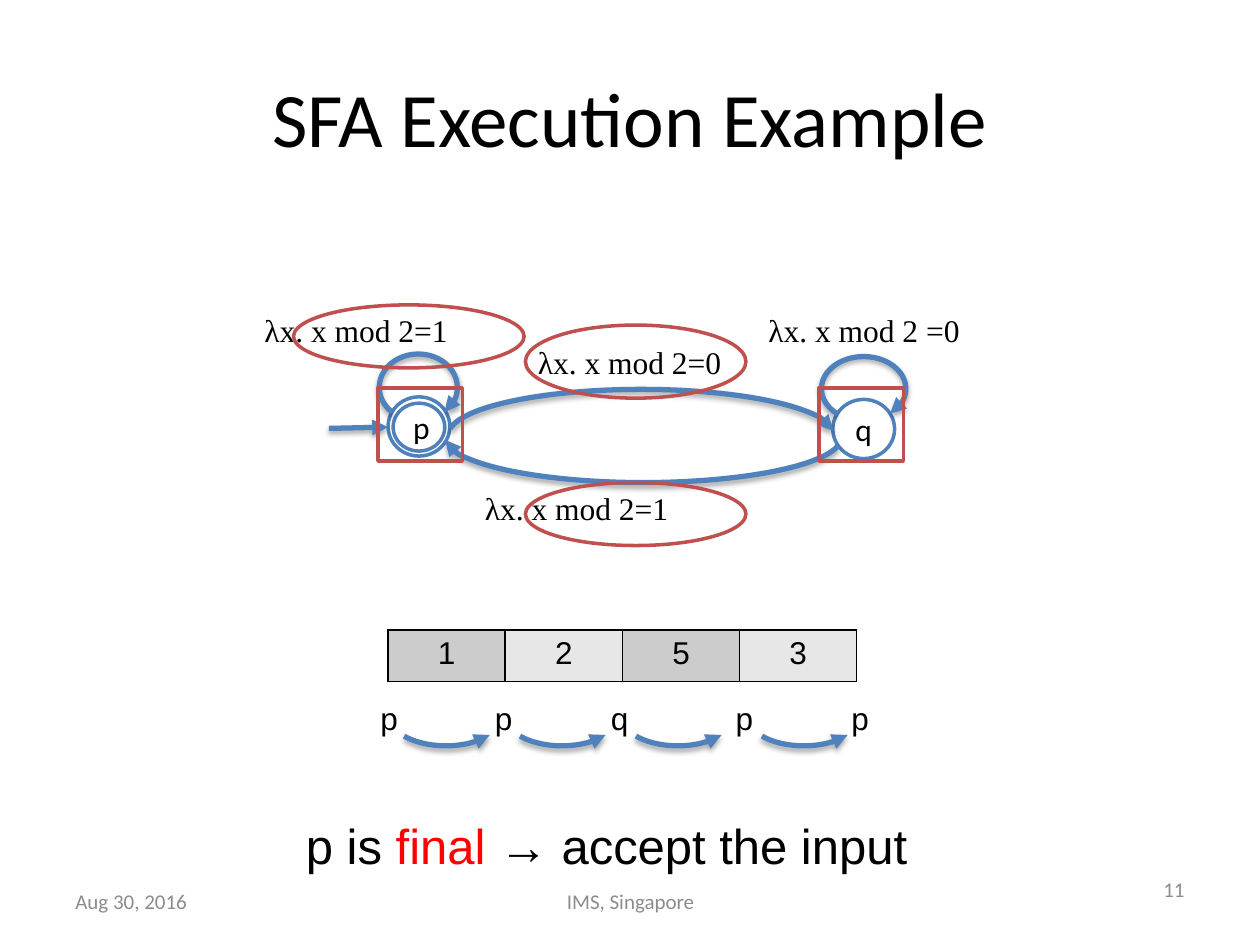
"""Build the SFA execution example slide."""
from dataclasses import dataclass

from lxml.etree import SubElement as Sub
from pptx import Presentation
from pptx.dml.color import RGBColor as RGB
from pptx.enum.shapes import MSO_CONNECTOR as CONN, MSO_SHAPE as SHAPE
from pptx.enum.text import MSO_ANCHOR as ANCHOR, PP_ALIGN as ALIGN
from pptx.oxml.ns import qn
from pptx.util import Inches, Pt


@dataclass(frozen=True)
class Theme:
    ink: RGB = RGB.from_string("000000")
    white: RGB = RGB.from_string("FFFFFF")
    muted: RGB = RGB.from_string("8C8C8C")
    blue: RGB = RGB.from_string("4F81BD")
    mark: RGB = RGB.from_string("C0504D")
    accent: RGB = RGB.from_string("FF0000")
    cells: tuple = (RGB.from_string("CCCCCC"), RGB.from_string("E7E7E7"))
    title: int = 44
    verdict: int = 28
    body: int = 18
    footer: int = 12
    heading: str = "Calibri"
    sans: str = "Arial"
    serif: str = "Times New Roman"


T = Theme()


def write(tf, text, font, size, color=T.ink, align=ALIGN.LEFT, anchor=ANCHOR.TOP, wrap=True):
    tf.text = text
    tf.word_wrap = wrap
    tf.vertical_anchor = anchor
    p = tf.paragraphs[0]
    p.alignment = align
    for r in p.runs:
        r.font.name, r.font.size, r.font.color.rgb = font, Pt(size), color
    return p


def outline(kind, at, color=T.blue, width=2, fill=None):
    sp = shapes.add_shape(kind, *map(Inches, at))
    sp.shadow.inherit = False
    if fill is None:
        sp.fill.background()
    else:
        sp.fill.solid()
        sp.fill.fore_color.rgb = fill
    sp.line.color.rgb = color
    sp.line.width = Pt(width)
    return sp


prs = Presentation()
prs.slide_width, prs.slide_height = Inches(10), Inches(7.5)
s = prs.slides.add_slide(prs.slide_layouts[5])
shapes = s.shapes

title = shapes.title
title.left, title.top, title.width, title.height = map(Inches, (0.5, 0.3, 9, 1.25))
write(title.text_frame, "SFA Execution Example", T.heading, T.title,
      align=ALIGN.CENTER, anchor=ANCHOR.MIDDLE)

footers = [
    ("11", (7.17, 6.86, 2.33, 0.4), ALIGN.RIGHT),
    ("Aug 30, 2016", (0.5, 6.95, 2.33, 0.4), ALIGN.LEFT),
    ("IMS, Singapore", (3.42, 6.95, 3.17, 0.4), ALIGN.CENTER),
]
for text, at, align in footers:
    tb = shapes.add_textbox(*map(Inches, at))
    write(tb.text_frame, text, T.heading, T.footer, T.muted, align, ANCHOR.MIDDLE)

guards = [
    ("λx. x mod 2=0", 4.17, 2.67, 1.79),
    ("λx. x mod 2=1", 3.75, 3.83, 2.58),
    ("λx. x mod 2 =0", 6, 2.42, 1.92),
    ("λx. x mod 2=1", 2, 2.42, 2.58),
]
for text, left, top, width in guards:
    tb = shapes.add_textbox(*map(Inches, (left, top, width, 0.4)))
    write(tb.text_frame, text, T.serif, T.body)

states = [("p", (3.12, 3.2, 0.41, 0.38)), ("q", (6.61, 3.17, 0.49, 0.47))]
for name, at in states:
    state = outline(SHAPE.OVAL, at, fill=T.white)
    write(state.text_frame, name, T.heading, T.body, align=ALIGN.CENTER, anchor=ANCHOR.MIDDLE)
outline(SHAPE.OVAL, (3.08, 3.15, 0.49, 0.47))

loop = (81.888, 26.043)
step = (15.188, 91.518)
arcs = [
    ((3.01, 2.81, 0.62, 0.53), loop, "tailEnd"),
    ((6.52, 2.83, 0.67, 0.51), loop, "tailEnd"),
    ((3.56, 3.09, 3.06, 0.72), (109.147, 215.317), "tailEnd"),
    ((3.53, 3.11, 3.15, 0.72), (1.54, 107.527), "tailEnd"),
]
arcs += [((left, 5.42, 0.92, 0.5), step, "headEnd") for left in (3.08, 4, 4.92, 5.92)]
arrows = []
for at, angles, end in arcs:
    arc = outline(SHAPE.ARC, at, width=3)
    arc.adjustments[0], arc.adjustments[1] = angles
    arrows.append((arc, end))

start = shapes.add_connector(CONN.STRAIGHT, *map(Inches, (2.61, 3.4, 3.08, 3.39)))
start.line.color.rgb = T.blue
start.line.width = Pt(3)
Sub(start._element.spPr, qn("a:effectLst"))
arrows.append((start, "tailEnd"))

for arrow, end in arrows:
    spPr = arrow._element.spPr
    Sub(spPr.find(qn("a:ln")), qn("a:" + end), type="triangle")
    shadow = Sub(spPr.find(qn("a:effectLst")), qn("a:outerShdw"), blurRad=str(Pt(3.1)),
                 dist=str(Pt(1.8)), dir="5400000", rotWithShape="0")
    Sub(Sub(shadow, qn("a:srgbClr"), val=str(T.ink)), qn("a:alpha"), val="35000")

symbols = ["1", "2", "5", "3"]
table = shapes.add_table(1, len(symbols), *map(Inches, (3.08, 5, 3.72, 0.41))).table
table.first_row = table.horz_banding = False
for i, symbol in enumerate(symbols):
    table.columns[i].width = Inches(0.93)
    cell = table.cell(0, i)
    write(cell.text_frame, symbol, T.sans, T.body, align=ALIGN.CENTER)
    tcPr = cell._tc.get_or_add_tcPr()
    for side in ("lnL", "lnR", "lnT", "lnB"):
        ln = Sub(tcPr, qn("a:" + side), w=str(Pt(1)))
        Sub(Sub(ln, qn("a:solidFill")), qn("a:srgbClr"), val=str(T.ink))
    cell.fill.solid()
    cell.fill.fore_color.rgb = T.cells[i % 2]

for name, left in zip("ppqpp", (2.92, 3.83, 4.75, 5.74, 6.66)):
    tb = shapes.add_textbox(*map(Inches, (left, 5.5, 0.34, 0.4)))
    write(tb.text_frame, name, T.sans, T.body, wrap=False)

marks = [
    (SHAPE.OVAL, (2.33, 2.42, 1.83, 0.5)),
    (SHAPE.OVAL, (4.17, 2.58, 1.75, 0.58)),
    (SHAPE.OVAL, (4.17, 3.83, 1.75, 0.5)),
    (SHAPE.RECTANGLE, (3, 3.08, 0.67, 0.58)),
    (SHAPE.RECTANGLE, (6.5, 3.08, 0.67, 0.58)),
]
for kind, at in marks:
    outline(kind, at, T.mark)

tb = shapes.add_textbox(*map(Inches, (2.33, 6.42, 5.08, 0.57)))
p = write(tb.text_frame, "p is ", T.sans, T.verdict)
for text, color in (("final ", T.accent), ("→ accept the input", T.ink)):
    r = p.add_run()
    r.text = text
    r.font.name, r.font.size, r.font.color.rgb = T.sans, Pt(T.verdict), color

prs.save("out.pptx")
